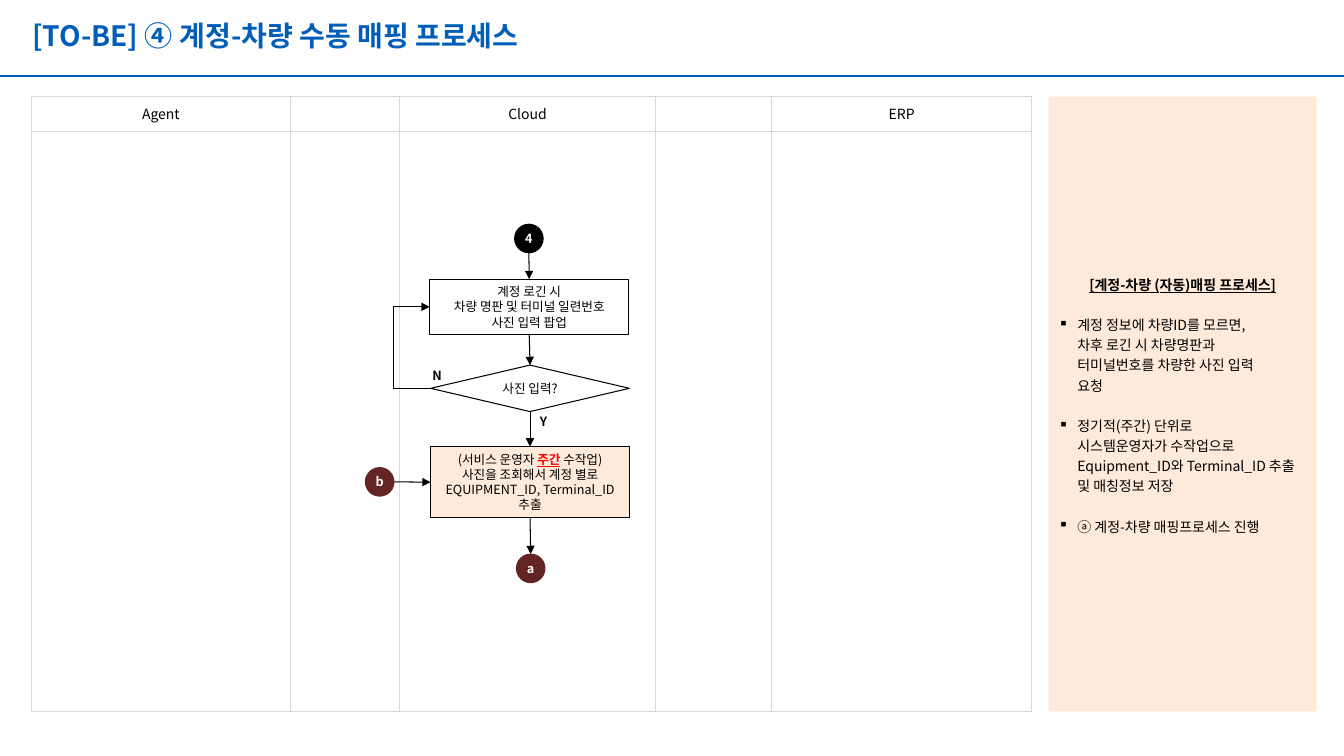
"""Build the manual account-to-vehicle mapping process slide."""
from lxml.etree import SubElement
from pptx import Presentation
from pptx.dml.color import RGBColor
from pptx.enum.shapes import MSO_CONNECTOR as CONN, MSO_SHAPE as SHAPE
from pptx.enum.text import MSO_ANCHOR as ANCHOR, PP_ALIGN as ALIGN
from pptx.oxml.ns import qn
from pptx.util import Pt

FONT = "Noto Sans CJK KR"
COLORS = {"blue": "005EB8", "grid": "D9D9D9", "peach": "FDEADA", "black": "000000",
          "white": "FFFFFF", "maroon": "632523", "red": "FF0000"}

TITLE = "[TO-BE] ④ 계정-차량 수동 매핑 프로세스"
LANES = [("Agent", 185.2), ("", 77.8), ("Cloud", 183), ("", 83), ("ERP", 185.6)]
LANE_ROWS = (24.8, 414.4)
LANE_LEFT, LANE_TOP = 22.3, 69
SIDEBAR = (749, 69, 191.5, 439.2)
NOTE_TITLE = "[계정-차량 (자동)매핑 프로세스]"
NOTES = [
    "계정 정보에 차량ID를 모르면,\n차후 로긴 시 차량명판과\n터미널번호를 차량한 사진 입력\n요청",
    "정기적(주간) 단위로\n시스템운영자가 수작업으로Equipment_ID와 Terminal_ID 추출\n및 매칭정보 저장",
    "ⓐ 계정-차량 매핑프로세스 진행",
]
STEPS = {
    "popup": (SHAPE.RECTANGLE, 307, 199.4, 142, 39.6, None,
              ["계정 로긴 시\n차량 명판 및 터미널 일련번호\n사진 입력 팝업"]),
    "check": (SHAPE.FLOWCHART_DECISION, 307.6, 260.8, 142, 33.2, None, ["사진 입력?"]),
    "extract": (SHAPE.RECTANGLE, 307.6, 319, 142, 50.8, "peach",
                ["(서비스 운영자 |주간| 수작업)", "사진을 조회해서 계정 별로",
                 "EQUIPMENT_ID, Terminal_ID 추출"]),
}
DOT = 20.4
DOTS = {"4": (367.6, 160.2, "black"), "a": (368.9, 395.8, "maroon"), "b": (261, 334, "maroon")}
TOP, LEFT, BOTTOM, RIGHT = range(4)
ARROWS = [("4", BOTTOM, "popup", TOP), ("popup", BOTTOM, "check", TOP),
          ("check", BOTTOM, "extract", TOP), ("extract", BOTTOM, "a", TOP),
          ("b", RIGHT, "extract", LEFT)]
LOOP_REACH = 27
LABELS = [("N", 302.6, 259), ("Y", 378.6, 292)]


def rgb(name):
    return RGBColor.from_string(COLORS[name])


def style(p, size, color="black", bold=False, underline=False, align=ALIGN.CENTER):
    p.alignment = align
    for r in p.runs:
        f = r.font
        f.size, f.name, f.bold, f.underline = Pt(size), FONT, bold, underline
        f.color.rgb = rgb(color)
        SubElement(f._element, qn("a:ea"), typeface=FONT)
    for br in p._p.findall(qn("a:br")):
        SubElement(br, qn("a:rPr"), sz=str(size * 100))


def set_frame(tf, inset_x=0, inset_y=0):
    tf.word_wrap = True
    tf.vertical_anchor = ANCHOR.MIDDLE
    tf.margin_left = tf.margin_right = Pt(inset_x)
    tf.margin_top = tf.margin_bottom = Pt(inset_y)


def add_box(s, kind, x, y, w, h, fill=None, line=None):
    sp = s.shapes.add_shape(kind, Pt(x), Pt(y), Pt(w), Pt(h))
    sp.shadow.inherit = False
    if fill:
        sp.fill.solid()
        sp.fill.fore_color.rgb = rgb(fill)
    else:
        sp.fill.background()
    if line:
        sp.line.color.rgb = rgb(line)
        sp.line.width = Pt(0.75)
    else:
        sp.line.fill.background()
    return sp


def add_line(s, kind, start, end, color="black", width=0.75, arrow=True):
    c = s.shapes.add_connector(kind, *start, *end)
    c.line.color.rgb = rgb(color)
    c.line.width = Pt(width)
    if arrow:
        SubElement(c.line._get_or_add_ln(), qn("a:tailEnd"), type="triangle")
    SubElement(c._element.spPr, qn("a:effectLst"))
    return c


def side(sp, n):
    x = sp.left + (sp.width // 2, 0, sp.width // 2, sp.width)[n]
    y = sp.top + (0, sp.height // 2, sp.height, sp.height // 2)[n]
    return x, y


def add_title(s, width):
    add_line(s, CONN.STRAIGHT, (0, Pt(54)), (width, Pt(54)), "blue", 1.5, False)
    t = s.shapes.title
    t.left, t.top, t.width, t.height = Pt(17.3), Pt(8.6), Pt(918.7), Pt(36)
    set_frame(t.text_frame, 5.8, 2.9)
    t.text_frame.text = TITLE
    p = t.text_frame.paragraphs[0]
    p.line_spacing = 0.9
    style(p, 20, "blue", True, align=ALIGN.LEFT)


def add_lanes(s):
    width = sum(w for _, w in LANES)
    table = s.shapes.add_table(2, len(LANES), Pt(LANE_LEFT), Pt(LANE_TOP),
                               Pt(width), Pt(sum(LANE_ROWS))).table
    table.first_row = table.horz_banding = False
    for row, h in zip(table.rows, LANE_ROWS):
        row.height = Pt(h)
    for i, (name, w) in enumerate(LANES):
        table.columns[i].width = Pt(w)
        table.cell(0, i).text = name
        style(table.cell(0, i).text_frame.paragraphs[0], 10)
    for cell in table.iter_cells():
        cell.margin_left = cell.margin_right = cell.margin_top = cell.margin_bottom = 0
        cell.vertical_anchor = ANCHOR.MIDDLE
        tc_pr = cell._tc.get_or_add_tcPr()
        for edge in ("lnL", "lnR", "lnT", "lnB"):
            ln = SubElement(tc_pr, qn("a:" + edge), w=str(Pt(0.75)))
            SubElement(SubElement(ln, qn("a:solidFill")), qn("a:srgbClr"), val=COLORS["grid"])
        cell.fill.background()


def add_sidebar(s):
    tf = add_box(s, SHAPE.RECTANGLE, *SIDEBAR, fill="peach").text_frame
    set_frame(tf, 7.2, 3.6)
    p = tf.paragraphs[0]
    p.text, p.line_spacing = NOTE_TITLE, 1.2
    style(p, 10, bold=True, underline=True)
    for note in NOTES:
        p = tf.add_paragraph()
        p.text, p.line_spacing, p.space_before = note, 1.2, Pt(14.4)
        p_pr = p._p.get_or_add_pPr()
        p_pr.set("marL", str(Pt(13.5)))
        p_pr.set("indent", str(-Pt(13.5)))
        SubElement(p_pr, qn("a:buChar"), char="▪")
        style(p, 10, align=ALIGN.LEFT)


def add_flow(s):
    nodes = {}
    for name, (kind, x, y, w, h, fill, lines) in STEPS.items():
        sp = nodes[name] = add_box(s, kind, x, y, w, h, fill, "black")
        tf = sp.text_frame
        set_frame(tf, 7.2 if kind == SHAPE.RECTANGLE else 0)
        for i, line in enumerate(lines):
            p = tf.add_paragraph() if i else tf.paragraphs[0]
            if "|" not in line:
                p.text = line
                style(p, 9)
                continue
            for part in line.split("|"):
                p.add_run().text = part
            style(p, 9)
            f = p.runs[1].font
            f.bold = f.underline = True
            f.color.rgb = rgb("red")
    for name, (x, y, color) in DOTS.items():
        sp = nodes[name] = add_box(s, SHAPE.OVAL, x, y, DOT, DOT, color, color)
        set_frame(sp.text_frame)
        sp.text_frame.text = name
        style(sp.text_frame.paragraphs[0], 9, "white", True)
    for a, a_side, b, b_side in ARROWS:
        c = add_line(s, CONN.STRAIGHT, side(nodes[a], a_side), side(nodes[b], b_side))
        if a in STEPS:
            c.begin_connect(nodes[a], a_side)
        if b in STEPS:
            c.end_connect(nodes[b], b_side)
    loop = add_line(s, CONN.ELBOW, side(nodes["check"], LEFT), side(nodes["popup"], LEFT))
    guides = loop._element.spPr.find(qn("a:prstGeom")).get_or_add_avLst()
    reach = round(Pt(LOOP_REACH) / loop.width * 100000)
    SubElement(guides, qn("a:gd"), name="adj1", fmla=f"val {reach}")
    for text, x, y in LABELS:
        tf = s.shapes.add_textbox(Pt(x), Pt(y), Pt(19.4), Pt(18)).text_frame
        set_frame(tf)
        tf.text = text
        style(tf.paragraphs[0], 9, bold=True)


def main():
    prs = Presentation()
    prs.slide_width, prs.slide_height = Pt(960), Pt(540)
    s = prs.slides.add_slide(prs.slide_layouts[5])
    add_title(s, prs.slide_width)
    add_lanes(s)
    add_sidebar(s)
    add_flow(s)
    prs.save("out.pptx")


if __name__ == "__main__":
    main()
